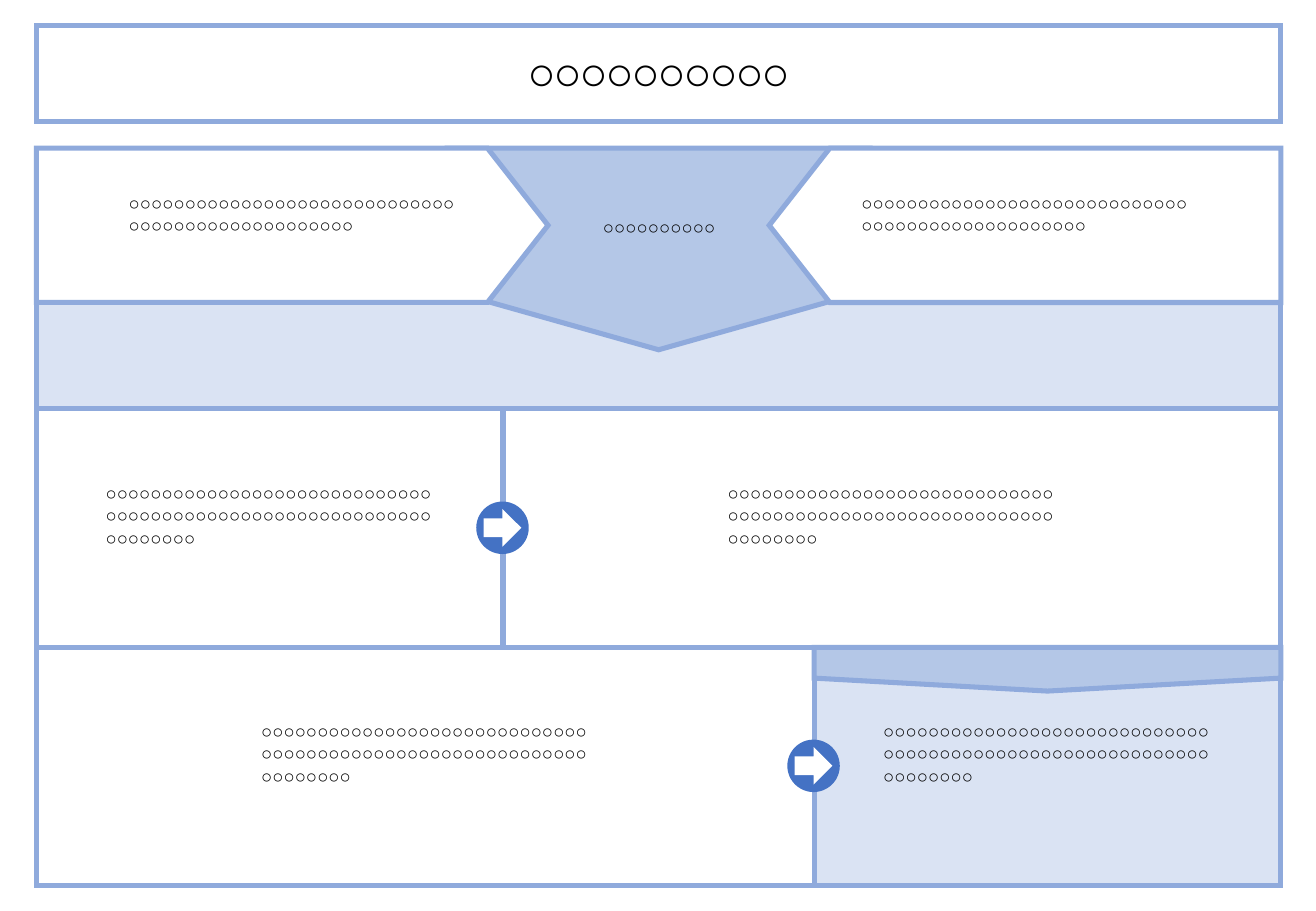
"""Build a flow slide: two inputs meet, then lead through two rows of panels."""
from dataclasses import dataclass

from lxml.etree import SubElement
from pptx import Presentation
from pptx.dml.color import RGBColor
from pptx.enum.shapes import MSO_SHAPE
from pptx.enum.text import PP_ALIGN
from pptx.oxml.ns import qn
from pptx.util import Emu, Pt

EMU_PER_PX = 9144


@dataclass(frozen=True)
class Theme:
    font: str = "Arial"
    ink: str = "000000"
    paper: str = "FFFFFF"
    pale: str = "DAE3F3"
    mid: str = "B4C7E7"
    border: str = "8FAADC"
    accent: str = "4472C4"
    title_size: int = 28
    body_size: int = 11
    border_width: int = 3


THEME = Theme()
LEFT, RIGHT = 30, 1054
NARROW_EDGE, WIDE_EDGE = 414, 670
TITLE_TOP, INPUT_TOP, MIDDLE_TOP, BOTTOM_TOP = 21, 122, 336, 532
PANEL_HEIGHT = 197
INPUT_WIDTH, INPUT_HEIGHT = 421, 127
TEXT_WIDTH = 289
BADGE_SIZE, BADGE_INSET = 39, 4
SHORT_TEXT = "○" * 10
INPUT_TEXT = "○" * 49
PANEL_TEXT = "○" * 66


def px(length):
    return Emu(length * EMU_PER_PX)


def add_block(shapes, kind, box, fill, border=None):
    block = shapes.add_shape(kind, *map(px, box))
    block.shadow.inherit = False
    block.fill.solid()
    block.fill.fore_color.rgb = RGBColor.from_string(fill)
    if border is None:
        block.line.fill.background()
        return block
    block.line.color.rgb = RGBColor.from_string(border)
    block.line.width = Pt(THEME.border_width)
    outline = block.element.spPr.find(qn("a:ln"))
    SubElement(outline, qn("a:miter")).set("lim", "800000")
    return block


def add_pointer(shapes, box, turn, point, fill):
    left, top, width, height = box
    if turn == 90:
        shift = (width - height) // 2
        box = left + shift, top - shift, height, width
    pointer = add_block(shapes, MSO_SHAPE.PENTAGON, box, fill, THEME.border)
    pointer.adjustments[0] = point
    pointer.rotation = turn


def add_label(shapes, box, text, align, size=THEME.body_size, bold=False, spacing=0):
    frame = shapes.add_textbox(*map(px, box)).text_frame
    frame.word_wrap = True
    frame.text = text
    paragraph = frame.paragraphs[0]
    paragraph.alignment = align
    run = paragraph.runs[0]
    run.font.name = THEME.font
    run.font.size = Pt(size)
    run.font.bold = bold
    run.font.color.rgb = RGBColor.from_string(THEME.ink)
    if spacing:
        run.font._element.set("spc", str(spacing))


def add_panel(shapes, left, right, top, fill):
    box = left, top, right - left, PANEL_HEIGHT
    add_block(shapes, MSO_SHAPE.RECTANGLE, box, fill, THEME.border)
    text_left = (left + right - TEXT_WIDTH) // 2
    text_box = text_left, top + 56, TEXT_WIDTH, 84
    add_label(shapes, text_box, PANEL_TEXT, PP_ALIGN.JUSTIFY)


def add_badge(shapes, edge, row_top):
    badge = shapes.add_group_shape().shapes
    left = edge - BADGE_SIZE // 2 - 1
    top = row_top + (PANEL_HEIGHT - BADGE_SIZE) // 2
    disc = left, top, BADGE_SIZE, BADGE_SIZE
    add_block(badge, MSO_SHAPE.OVAL, disc, THEME.accent, THEME.accent)
    arrow_size = BADGE_SIZE - 2 * BADGE_INSET
    arrow = left + BADGE_INSET, top + BADGE_INSET, arrow_size, arrow_size
    add_block(badge, MSO_SHAPE.RIGHT_ARROW, arrow, THEME.paper)


def add_title(shapes):
    box = LEFT, TITLE_TOP, RIGHT - LEFT, 79
    add_block(shapes, MSO_SHAPE.RECTANGLE, box, THEME.paper, THEME.border)
    add_label(shapes, (247, 31, 590, 57), SHORT_TEXT, PP_ALIGN.CENTER,
              THEME.title_size, bold=True, spacing=-150)


def add_inputs(shapes):
    band = LEFT, INPUT_TOP, RIGHT - LEFT, MIDDLE_TOP - INPUT_TOP
    add_block(shapes, MSO_SHAPE.RECTANGLE, band, THEME.pale, THEME.border)
    add_pointer(shapes, (368, INPUT_TOP, 348, 166), 90, 0.296, THEME.mid)
    inputs = ((LEFT, 0, 96), (RIGHT - INPUT_WIDTH, 180, 699))
    for left, turn, text_left in inputs:
        box = left, INPUT_TOP, INPUT_WIDTH, INPUT_HEIGHT
        add_pointer(shapes, box, turn, 0.392, THEME.paper)
        text_box = text_left, INPUT_TOP + 31, TEXT_WIDTH, 66
        add_label(shapes, text_box, INPUT_TEXT, PP_ALIGN.JUSTIFY)
    add_label(shapes, (425, 173, 235, 29), SHORT_TEXT, PP_ALIGN.CENTER)


def main():
    deck = Presentation()
    deck.slide_width, deck.slide_height = px(1083), px(750)
    shapes = deck.slides.add_slide(deck.slide_layouts[6]).shapes
    add_title(shapes)
    add_inputs(shapes)
    add_panel(shapes, LEFT, WIDE_EDGE, BOTTOM_TOP, THEME.paper)
    add_panel(shapes, WIDE_EDGE, RIGHT, BOTTOM_TOP, THEME.pale)
    add_panel(shapes, LEFT, NARROW_EDGE, MIDDLE_TOP, THEME.paper)
    add_panel(shapes, NARROW_EDGE, RIGHT, MIDDLE_TOP, THEME.paper)
    result_header = WIDE_EDGE, BOTTOM_TOP + 1, RIGHT - WIDE_EDGE, 36
    add_pointer(shapes, result_header, 90, 0.296, THEME.mid)
    add_badge(shapes, NARROW_EDGE, MIDDLE_TOP)
    add_badge(shapes, WIDE_EDGE, BOTTOM_TOP)
    deck.save("out.pptx")


if __name__ == "__main__":
    main()
